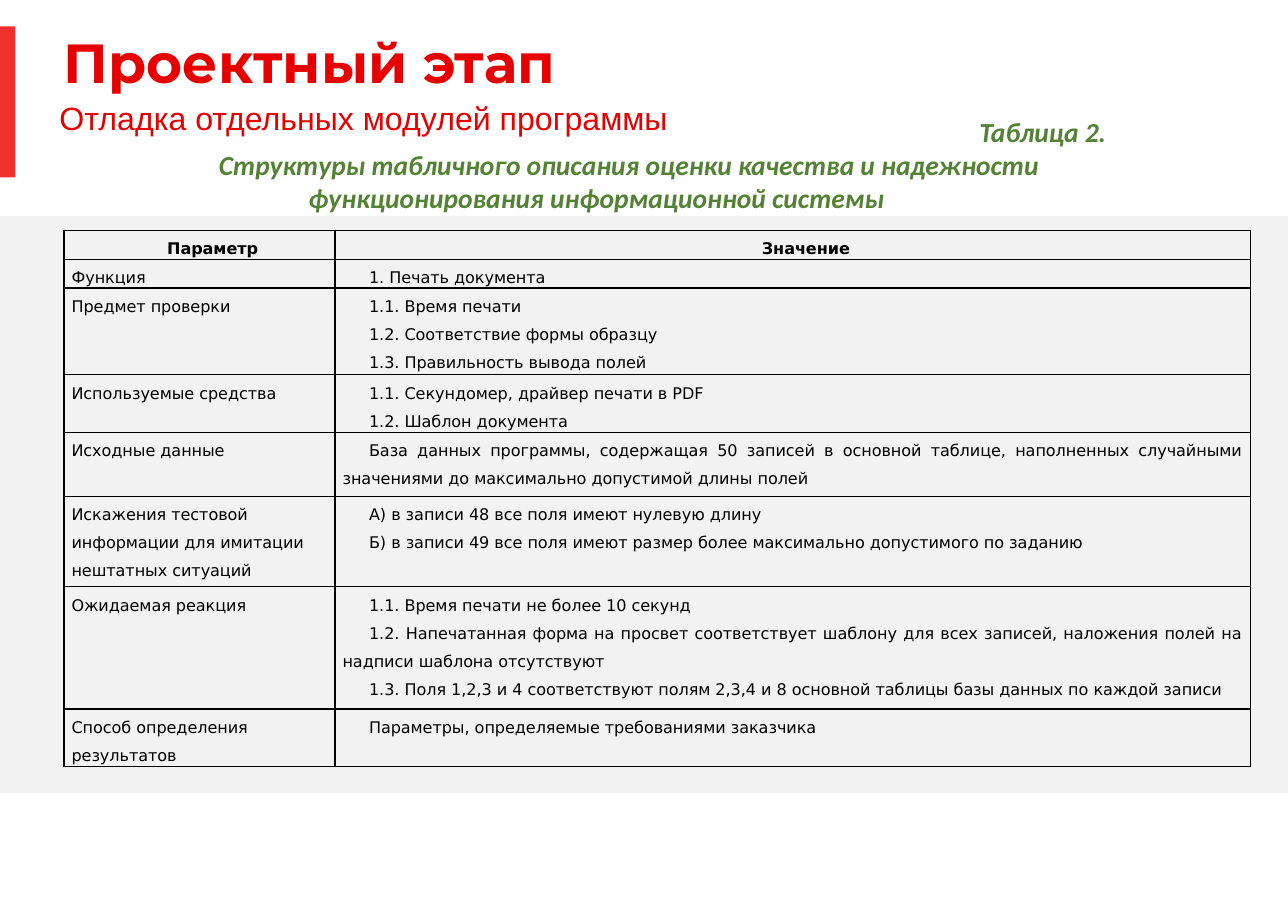
from dataclasses import dataclass

from lxml import etree
from pptx import Presentation
from pptx import util as u
from pptx.dml.color import RGBColor
from pptx.enum import shapes, text
from pptx.oxml import ns

ALIGN = text.PP_ALIGN
ANCHOR = text.MSO_ANCHOR
RED, GREEN, BLACK = "E60000", "548235", "000000"


@dataclass(frozen=True)
class Block:
    left: float
    top: float
    width: float
    height: float
    color: str


@dataclass(frozen=True)
class Row:
    height: float
    parameter: str
    values: tuple[str, ...]
    header: bool = False


BLOCKS = (
    Block(0, 1.96, 11.69, 5.24, "F2F2F2"),
    Block(0, 0.24, 0.14, 1.37, "EE312C"),
)
COLUMN_WIDTHS = (2.46, 8.31)
ROWS = (
    Row(0.25, "Параметр", ("Значение",), header=True),
    Row(0.25, "Функция", ("1. Печать документа",)),
    Row(0.76, "Предмет проверки", (
        "1.1. Время печати",
        "1.2. Соответствие формы образцу",
        "1.3. Правильность вывода полей",
    )),
    Row(0.51, "Используемые средства", (
        "1.1. Секундомер, драйвер печати в PDF",
        "1.2. Шаблон документа",
    )),
    Row(0.58, "Исходные данные", (
        "База данных программы, содержащая 50 записей в основной таблице, "
        "наполненных случайными значениями до максимально допустимой длины полей",
    )),
    Row(0.82, "Искажения тестовой информации для имитации нештатных ситуаций", (
        "А) в записи 48 все поля имеют нулевую длину",
        "Б) в записи 49 все поля имеют размер более максимально допустимого по заданию",
    )),
    Row(1.11, "Ожидаемая реакция", (
        "1.1. Время печати не более 10 секунд",
        "1.2. Напечатанная форма на просвет соответствует шаблону для всех записей, "
        "наложения полей на надписи шаблона отсутствуют",
        "1.3. Поля 1,2,3 и 4 соответствуют полям 2,3,4 и 8 основной таблицы "
        "базы данных по каждой записи",
    )),
    Row(0.51, "Способ определения результатов",
        ("Параметры, определяемые требованиями заказчика",)),
)


def rgb(color: str) -> RGBColor:
    return RGBColor.from_string(color)


def write(frame, content: str, *, font: str, size: float, color: str,
          bold: bool = False, italic: bool = False, align=ALIGN.LEFT,
          spacing: float = 1.0, indent: float = 0) -> None:
    """Fill the empty first paragraph of a text frame, or add a paragraph."""
    para = frame.paragraphs[0]
    if para.runs:
        para = frame.add_paragraph()
    para.alignment = align
    para.line_spacing = spacing
    properties = para._p.get_or_add_pPr()
    properties.set("marL", "0")
    properties.set("indent", str(u.Inches(indent)))
    span = para.add_run()
    span.text = content
    span.font.name = font
    span.font.size = u.Pt(size)
    span.font.bold = bold
    span.font.italic = italic
    span.font.color.rgb = rgb(color)


def add_block(page, block: Block) -> None:
    box = page.shapes.add_shape(
        shapes.MSO_SHAPE.RECTANGLE, u.Inches(block.left), u.Inches(block.top),
        u.Inches(block.width), u.Inches(block.height))
    box.shadow.inherit = False
    box.fill.solid()
    box.fill.fore_color.rgb = rgb(block.color)
    box.line.fill.background()


def add_text_frame(page, left: float, top: float, width: float, height: float,
                   anchor=ANCHOR.TOP, inset_x: float = 0, inset_y: float = 0):
    box = page.shapes.add_textbox(
        u.Inches(left), u.Inches(top), u.Inches(width), u.Inches(height))
    frame = box.text_frame
    frame.word_wrap = True
    frame.vertical_anchor = anchor
    frame.margin_left = frame.margin_right = u.Inches(inset_x)
    frame.margin_top = frame.margin_bottom = u.Inches(inset_y)
    return frame


def format_cell(cell) -> None:
    cell.fill.background()
    cell.margin_left = cell.margin_right = u.Inches(0.07)
    cell.margin_top = cell.margin_bottom = 0
    properties = cell._tc.get_or_add_tcPr()
    for position, side in enumerate(("a:lnL", "a:lnR", "a:lnT", "a:lnB")):
        border = etree.Element(ns.qn(side), w=str(u.Pt(1)))
        fill = etree.SubElement(border, ns.qn("a:solidFill"))
        etree.SubElement(fill, ns.qn("a:srgbClr"), val=BLACK)
        properties.insert(position, border)


def add_quality_table(page) -> None:
    table = page.shapes.add_table(
        len(ROWS), len(COLUMN_WIDTHS), u.Inches(0.58), u.Inches(2.09),
        u.Inches(sum(COLUMN_WIDTHS)),
        u.Inches(sum(row.height for row in ROWS))).table
    table.first_row = table.horz_banding = False
    for column, width in zip(table.columns, COLUMN_WIDTHS):
        column.width = u.Inches(width)
    for index, row in enumerate(ROWS):
        table.rows[index].height = u.Inches(row.height)
        for column, lines in enumerate(((row.parameter,), row.values)):
            cell = table.cell(index, column)
            format_cell(cell)
            body_align = ALIGN.JUSTIFY if column else ALIGN.LEFT
            for line in lines:
                write(cell.text_frame, line, font="DejaVu Sans", size=10.5,
                      color=BLACK, bold=row.header, spacing=1.5,
                      align=ALIGN.CENTER if row.header else body_align,
                      indent=0.24 if row.header or column else 0)


def main() -> None:
    deck = Presentation()
    deck.slide_width, deck.slide_height = u.Inches(11.69), u.Inches(8.27)
    page = deck.slides.add_slide(deck.slide_layouts[6])
    for block in BLOCKS:
        add_block(page, block)

    title = add_text_frame(page, 0.58, 0.33, 11.11, 0.55)
    write(title, "Проектный этап", font="Montserrat", size=36, color=RED,
          bold=True, spacing=0.9)

    caption = add_text_frame(page, 0.68, 0.98, 9.47, 1.05,
                             inset_x=0.11, inset_y=0.06)
    for line, align in (
        ("Таблица 2.", ALIGN.RIGHT),
        ("Структуры табличного описания оценки качества и надежности "
         "функционирования информационной системы", ALIGN.CENTER),
    ):
        write(caption, line, font="Calibri", size=18, color=GREEN, bold=True,
              italic=True, align=align, indent=0.59)

    subtitle = add_text_frame(page, 0.33, 0.49, 10.74, 0.81, ANCHOR.BOTTOM,
                              inset_x=0.11, inset_y=0.06)
    write(subtitle, "Отладка отдельных модулей программы", font="Arial",
          size=21, color=RED, spacing=0.8, indent=0.1)

    add_quality_table(page)
    deck.save("out.pptx")


if __name__ == "__main__":
    main()
